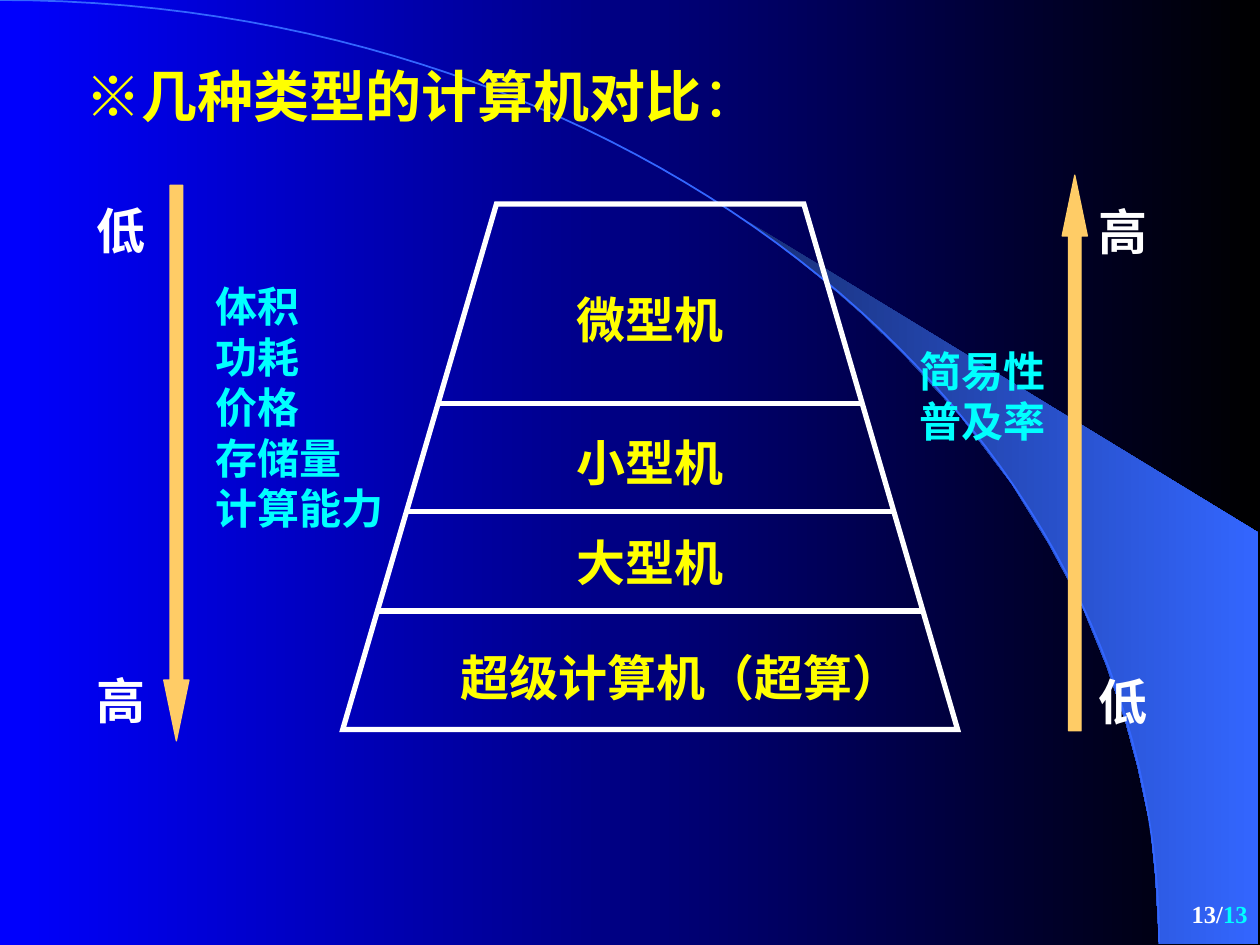
from lxml import etree
from pptx import Presentation
from pptx.dml.color import RGBColor
from pptx.enum.shapes import MSO_CONNECTOR, MSO_SHAPE
from pptx.enum.text import MSO_ANCHOR, PP_ALIGN
from pptx.oxml.ns import qn
from pptx.util import Inches, Pt

BLUE = RGBColor(0x00, 0x00, 0xFF)
BLACK = RGBColor(0x00, 0x00, 0x00)
NAVY = RGBColor(0x18, 0x2F, 0x76)
AZURE = RGBColor(0x33, 0x66, 0xFF)
WHITE = RGBColor(0xFF, 0xFF, 0xFF)
YELLOW = RGBColor(0xFF, 0xFF, 0x00)
CYAN = RGBColor(0x00, 0xFF, 0xFF)
AMBER = RGBColor(0xFF, 0xCC, 0x66)
LATIN = "Times New Roman"
CJK = "Noto Sans CJK SC"


def horizontal_gradient(fill, start, end):
    fill.gradient()
    fill.gradient_angle = 0
    for stop, color, position in zip(fill.gradient_stops, (start, end), (0, 1)):
        stop.color.rgb = color
        stop.position = position


def add_text(slide, lines, left, top, width, height, *, size, color, bold=True,
             font=LATIN, align=PP_ALIGN.LEFT, anchor=MSO_ANCHOR.TOP, gap=0):
    """Each line is a string or a list of (text, overrides of color, bold, font)."""
    frame = slide.shapes.add_textbox(
        Inches(left), Inches(top), Inches(width), Inches(height)).text_frame
    frame.word_wrap = True
    frame.vertical_anchor = anchor
    for index, line in enumerate(lines):
        paragraph = frame.paragraphs[0]
        if index:
            paragraph = frame.add_paragraph()
            paragraph.space_before = Pt(gap)
        paragraph.alignment = align
        for text, changes in [(line, {})] if isinstance(line, str) else line:
            run = paragraph.add_run()
            run.text = text
            run.font.size = Pt(size)
            run.font.bold = changes.get("bold", bold)
            run.font.color.rgb = changes.get("color", color)
            run.font.name = changes.get("font", font)
            east_asian = etree.SubElement(run.font._element, qn("a:ea"))
            east_asian.set("typeface", CJK)


def add_outline(slide, points, close=True):
    corners = [(Inches(x), Inches(y)) for x, y in points]
    builder = slide.shapes.build_freeform(*corners[0])
    builder.add_line_segments(corners[1:], close=close)
    shape = builder.convert_to_shape()
    shape.shadow.inherit = False
    shape.fill.background()
    return shape


def add_backdrop(slide, width, height):
    horizontal_gradient(slide.background.fill, BLUE, BLACK)

    beam = add_outline(slide, [
        (9.2, height), (width, height), (width, 4.23), (5.89, 1.73), (6.24, 1.99),
        (6.53, 2.22), (6.85, 2.5), (7.16, 2.8), (7.62, 3.3), (8.03, 3.84),
        (8.32, 4.31), (8.58, 4.79), (8.78, 5.28), (8.93, 5.72), (9.03, 6.09),
        (9.13, 6.56), (9.17, 6.96)])
    horizontal_gradient(beam.fill, NAVY, AZURE)
    beam.line.fill.background()

    steps = 60
    arc_points = []
    for step in range(steps + 1):
        t = step / steps
        s = 1 - t
        arc_points.append((3 * s * s * t * 5.08 + (3 * s * t * t + t ** 3) * 9.2,
                           3 * s * t * t * 3.35 + t ** 3 * height))
    arc = add_outline(slide, arc_points, close=False)
    arc.line.color.rgb = AZURE
    arc.line.width = Pt(1)


def add_computer_pyramid(slide, left, top, width, height):
    slant = width / 4
    right, bottom = left + width, top + height
    frame = add_outline(slide, [(right, bottom), (right - slant, top),
                                (left + slant, top), (left, bottom)])
    frame.line.color.rgb = WHITE
    frame.line.width = Pt(3)
    sharp_corners = etree.SubElement(frame.line._get_or_add_ln(), qn("a:miter"))
    sharp_corners.set("lim", "800000")

    for depth in (1.58, 2.44, 3.23):
        inset = slant * (1 - depth / height)
        y = Inches(top + depth)
        divider = slide.shapes.add_connector(
            MSO_CONNECTOR.STRAIGHT, Inches(left + inset), y, Inches(right - inset), y)
        divider.line.color.rgb = WHITE
        divider.line.width = Pt(3)
        etree.SubElement(divider._element.spPr, qn("a:effectLst"))

    for label, x, depth, label_width in (
            ("微型机", 1.76, 0.63, 1.45), ("小型机", 1.76, 1.76, 1.45),
            ("大型机", 1.76, 2.56, 1.45), ("超级计算机（超算）", 0.84, 3.47, 3.79)):
        add_text(slide, [label], left + x, top + depth, label_width, 0.57,
                 size=28, color=YELLOW)


def add_scale(slide, left, top, width, height, rotation=0):
    arrow = slide.shapes.add_shape(MSO_SHAPE.DOWN_ARROW, Inches(left), Inches(top),
                                   Inches(width), Inches(height))
    arrow.adjustments[0] = 0.5
    arrow.adjustments[1] = 2.41
    arrow.rotation = rotation
    arrow.shadow.inherit = False
    arrow.fill.solid()
    arrow.fill.fore_color.rgb = AMBER
    arrow.line.color.rgb = AMBER
    arrow.line.width = Pt(0.75)


def add_scale_ends(slide, ends, left, top):
    add_text(slide, ends, left, top, 0.79, 4.31, size=28, color=WHITE, gap=235)


def add_criteria(slide, criteria, left, top, height):
    add_text(slide, criteria, left, top, 1.81, height, size=24, color=CYAN)


def main():
    presentation = Presentation()
    presentation.slide_width = Inches(10)
    presentation.slide_height = Inches(7.5)
    slide = presentation.slides.add_slide(presentation.slide_layouts[6])

    add_backdrop(slide, 9.99, 7.49)
    add_text(slide, [[("13/", {}), ("13", {"color": CYAN})]], 7.92, 7, 2.08, 0.5,
             size=14, color=WHITE, align=PP_ALIGN.RIGHT, anchor=MSO_ANCHOR.MIDDLE)
    add_computer_pyramid(slide, 2.72, 1.62, 4.88, 4.17)

    add_scale(slide, 1.3, 1.47, 0.2, 4.41)
    add_criteria(slide, ["体积", "功耗", "价格", "存储量", "计算能力"], 1.61, 2.18, 2.1)
    add_scale(slide, 8.43, 1.39, 0.2, 4.41, rotation=180)
    add_criteria(slide, ["简易性", "普及率"], 7.2, 2.69, 0.9)

    add_text(slide, [[("※几种类型的", {"font": CJK}), ("计算机对比", {}),
                      ("：", {"bold": False})]],
             0.58, 0.44, 8.43, 0.66, size=32, color=YELLOW)
    add_scale_ends(slide, ["高", "低"], 8.62, 1.55)
    add_scale_ends(slide, ["低", "高"], 0.67, 1.54)

    presentation.save("out.pptx")


if __name__ == "__main__":
    main()
